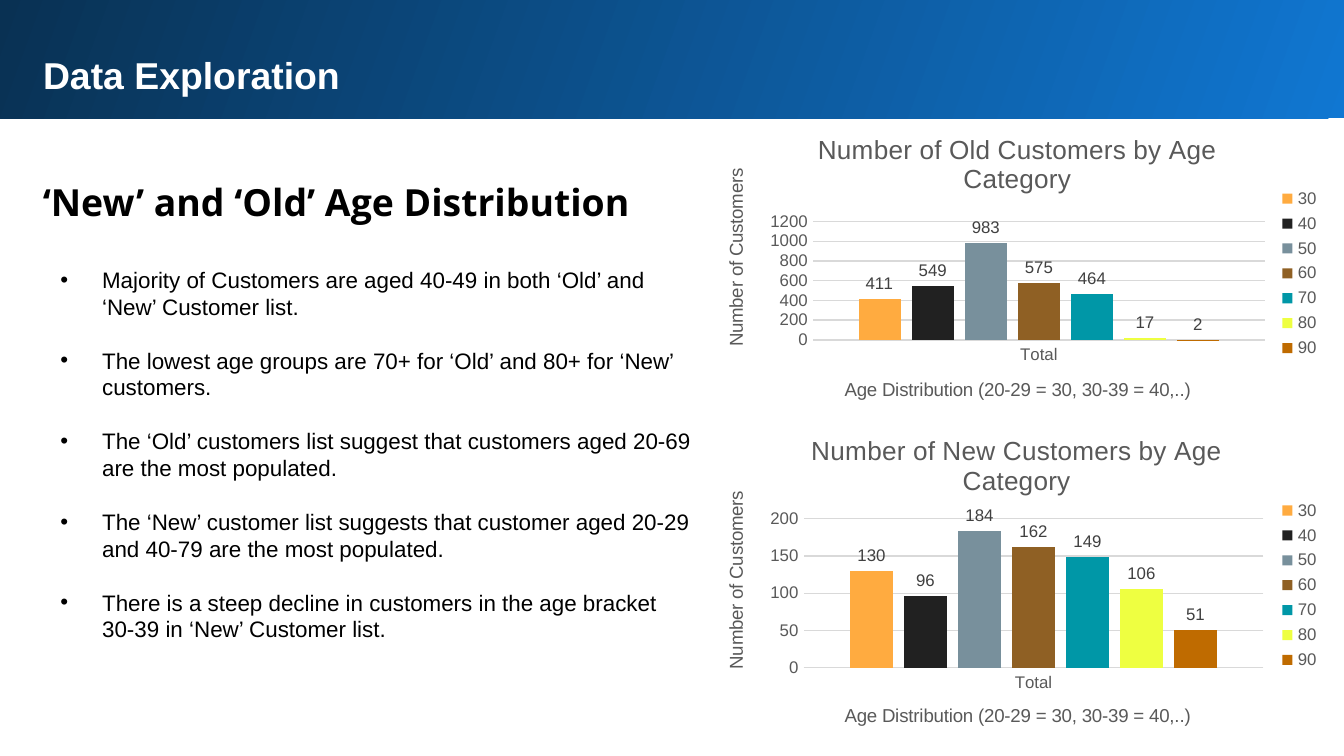
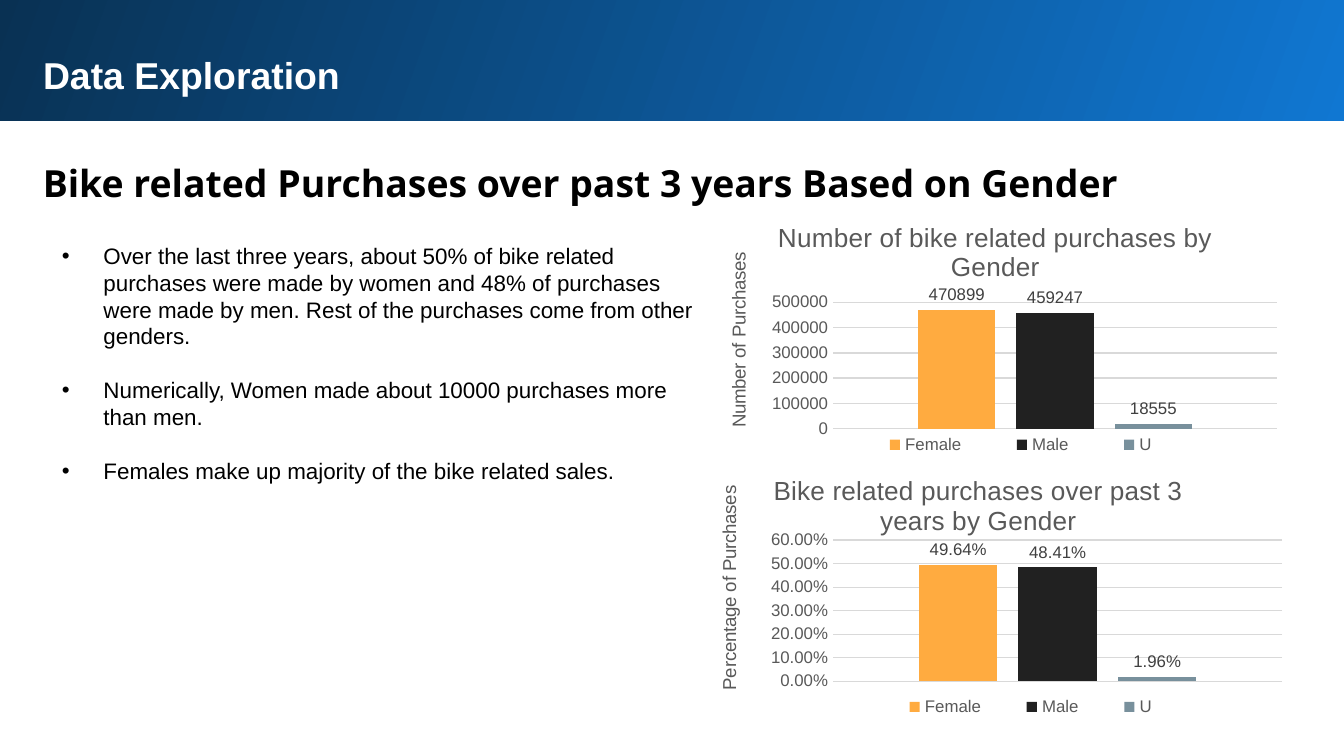
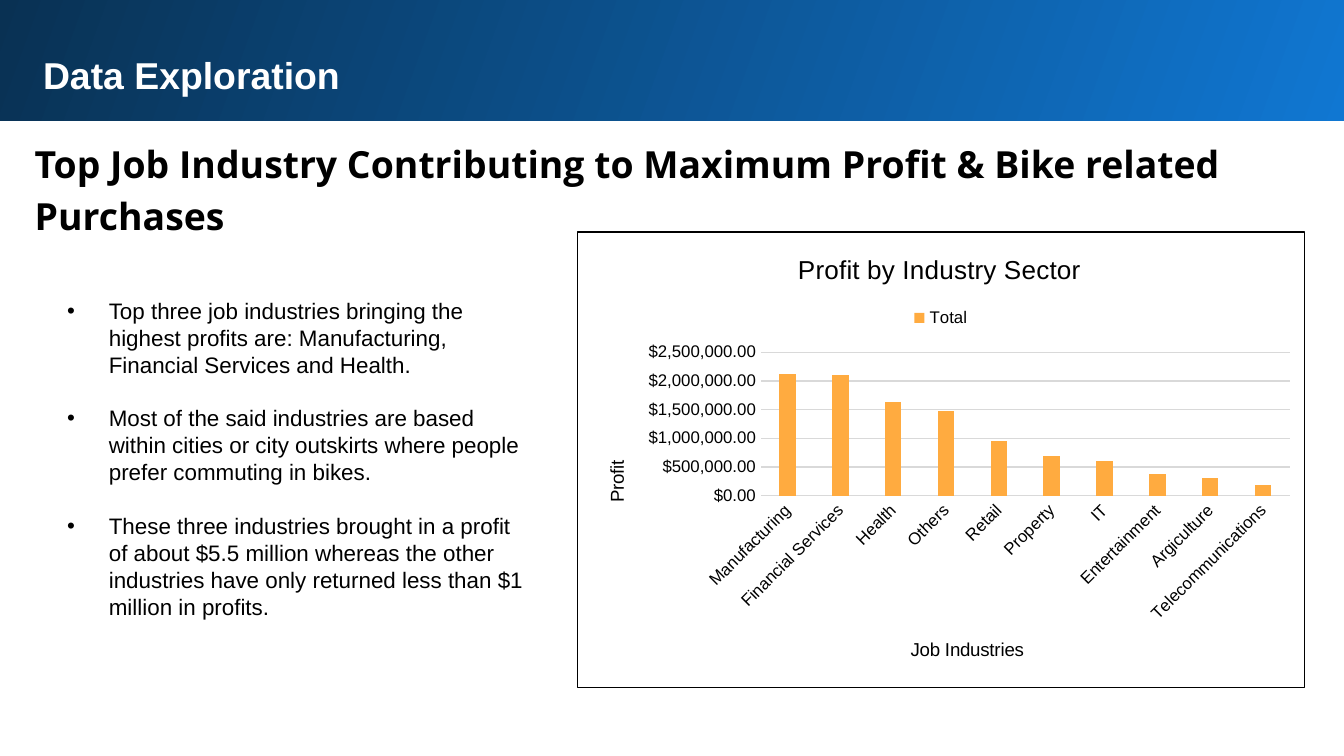
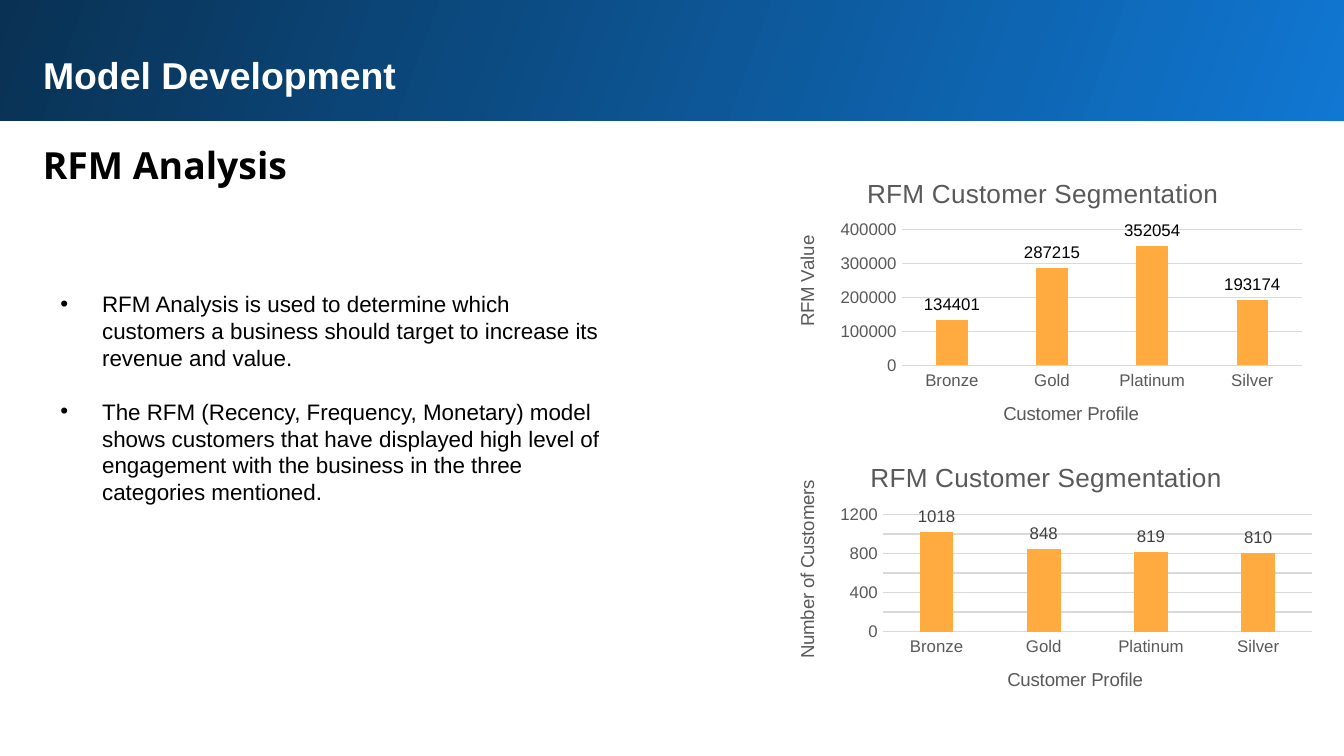
import pptx
import pptx.chart.data
import pptx.dml.color
import pptx.enum.chart
import pptx.enum.shapes
import pptx.enum.text
import pptx.oxml
import pptx.oxml.ns
import pptx.util

Inches = pptx.util.Inches
Pt = pptx.util.Pt
RGB = pptx.dml.color.RGBColor
Kind = pptx.enum.chart.XL_CHART_TYPE
Spot = pptx.enum.chart.XL_LEGEND_POSITION
Tick = pptx.enum.chart.XL_TICK_MARK

BLACK = RGB(0, 0, 0)
WHITE = RGB(255, 255, 255)
BLUE = RGB(0x10, 0x77, 0xD2)
NAVY = RGB(0x09, 0x31, 0x53)
GRAY = RGB(0x59, 0x59, 0x59)
DARK = RGB(0x40, 0x40, 0x40)
GRID = RGB(0xD9, 0xD9, 0xD9)
HUES = [
    RGB(0xFF, 0xAB, 0x40),
    RGB(0x21, 0x21, 0x21),
    RGB(0x78, 0x90, 0x9C),
    RGB(0x8F, 0x60, 0x24),
    RGB(0x00, 0x97, 0xA7),
    RGB(0xEE, 0xFF, 0x41),
    RGB(0xBF, 0x6B, 0x00),
]
AGES = ["30", "40", "50", "60", "70", "80", "90"]
SEXES = ["Female", "Male", "U"]
TIERS = ["Bronze", "Gold", "Platinum", "Silver"]
TRADES = [
    "Manufacturing", "Financial Services", "Health", "Others", "Retail",
    "Property", "IT", "Entertainment", "Argiculture", "Telecommunications",
]
GAINS = [2130000, 2110000, 1630000, 1480000, 960000, 690000, 600000, 380000, 300000, 190000]
BAND = (-0.02, -0.02, 10.05, 0.92)


def style(font, size, color, bold=False, face="Arial"):
    """Set the face, size and colour of a font."""
    font.name, font.size, font.bold = face, Pt(size), bold
    font.color.rgb = color


def write(para, text, size, color, bold=False, face="Arial"):
    """Add one styled run to a paragraph."""
    run = para.add_run()
    run.text = text
    style(run.font, size, color, bold, face)


def move(shape, box):
    """Give a shape its box in inches."""
    shape.left, shape.top, shape.width, shape.height = map(Inches, box)


def frame(shape, inset):
    """Prepare the text frame of a shape and return it."""
    text = shape.text_frame
    text.word_wrap = True
    text.auto_size = pptx.enum.text.MSO_AUTO_SIZE.NONE
    text.vertical_anchor = pptx.enum.text.MSO_ANCHOR.TOP
    text.margin_left = text.margin_right = Inches(inset)
    text.margin_top = text.margin_bottom = Inches(inset)
    return text


def head(slide, text, box):
    """Draw the blue band with the slide title on it."""
    title = slide.shapes.title
    band = slide.shapes.add_shape(pptx.enum.shapes.MSO_SHAPE.RECTANGLE, *map(Inches, box))
    band.shadow.inherit = False
    band.line.fill.background()
    band.fill.gradient()
    band.fill.gradient_angle = 160
    for stop, color in zip(band.fill.gradient_stops, (BLUE, NAVY)):
        stop.color.rgb = color
    title.element.addprevious(band.element)
    move(title, (0.22, 0.29, 9.37, 0.51))
    para = frame(title, 0.1).paragraphs[0]
    para.alignment = pptx.enum.text.PP_ALIGN.LEFT
    write(para, text, 20, WHITE, True)


def topic(slide, text, box):
    """Add the heading below the band."""
    area = slide.shapes.add_textbox(*map(Inches, box))
    para = frame(area, 0.1).paragraphs[0]
    para.line_spacing = 1.15
    write(para, text, 20, BLACK, True, "Open Sans")


def points(slide, items, box):
    """Fill the body with spaced bullets."""
    body = slide.placeholders[1]
    move(body, box)
    text = frame(body, 0.05)
    for i, item in enumerate(items):
        para = text.paragraphs[0] if i == 0 else text.add_paragraph()
        para.space_before, para.space_after = Pt(0), Pt(14.4)
        write(para, item, 12, BLACK)
    for prop in body.element.xpath(".//a:pPr"):
        prop.set("marL", str(Inches(0.31)))
        prop.set("indent", str(-Inches(0.31)))


def page(deck, name, sub, place, items, area, band=BAND):
    """Add a slide with its band, heading and bullets."""
    slide = deck.slides.add_slide(deck.slide_layouts[1])
    head(slide, name, band)
    topic(slide, sub, place)
    points(slide, items, area)
    return slide


def place(node, spot, box, index=1, inner=False):
    """Fix a chart part at a spot in inches inside the chart box."""
    for old in node.findall(pptx.oxml.ns.qn("c:layout")):
        node.remove(old)
    parts = '<c:layoutTarget val="inner"/>' if inner else ""
    parts += '<c:xMode val="edge"/><c:yMode val="edge"/>'
    for key, value, full in zip("xywh", spot, box[2:] * 2):
        parts += f'<c:{key} val="{value / full:.4f}"/>'
    node.insert(index, pptx.oxml.parse_xml(
        f'<c:layout {pptx.oxml.ns.nsdecls("c")}><c:manualLayout>{parts}</c:manualLayout></c:layout>'))


def label(title, text, size, color, spot, box):
    """Write a chart or axis title and put it at its spot."""
    write(title.text_frame.paragraphs[0], text, size, color)
    if spot:
        place(title.element, spot, box)


def border(chart, color):
    """Clear the chart ground and draw its outline if it has a colour."""
    fill = f'<a:solidFill><a:srgbClr val="{color}"/></a:solidFill>' if color else "<a:noFill/>"
    root = chart.element.xpath("c:chart")[0]
    root.addnext(pptx.oxml.parse_xml(
        f'<c:spPr {pptx.oxml.ns.nsdecls("c", "a")}><a:noFill/><a:ln w="9525">{fill}</a:ln></c:spPr>'))


def axes(chart, color, ytext, yspot, xtext, xspot, form, box):
    """Format both axes and their titles."""
    rows, cols = chart.value_axis, chart.category_axis
    for axis in (rows, cols):
        axis.major_tick_mark = axis.minor_tick_mark = Tick.NONE
        style(axis.tick_labels.font, 9, color)
    rows.format.line.fill.background()
    rows.tick_labels.number_format = form
    rows.tick_labels.number_format_is_linked = False
    grid = rows.major_gridlines.format.line
    label(rows.axis_title, ytext, 10, color, yspot, box)
    for line in (grid, cols.format.line):
        line.color.rgb, line.width = GRID, Pt(0.75)
    if xtext:
        label(cols.axis_title, xtext, 10, color, xspot, box)
    else:
        cols.visible = False


def bars(slide, box, title, cats, rows, plot, ytext, yspot, xtext=None, xspot=None, *,
         spot=None, form="General", color=GRAY, mark=DARK, key=None, keybox=None, edge=None):
    """Add a column chart whose parts sit relative to its box."""
    data = pptx.chart.data.CategoryChartData(number_format=form)
    data.categories = cats
    for name, vals in rows:
        data.add_series(name, vals)
    chart = slide.shapes.add_chart(Kind.COLUMN_CLUSTERED, *map(Inches, box), data).chart
    style(chart.font, 10, BLACK)
    border(chart, edge)
    chart.has_title = True
    label(chart.chart_title, title, 14, color, spot, box)
    axes(chart, color, ytext, yspot, xtext, xspot, form, box)
    place(chart.element.xpath(".//c:plotArea")[0], plot, box, 0, True)
    group = chart.plots[0]
    group.gap_width, group.overlap, group.vary_by_categories = 219, -27, False
    for line, hue in zip(group.series, HUES):
        line.format.fill.solid()
        line.format.fill.fore_color.rgb = hue
        if mark is not None:
            tags = line.data_labels
            tags.show_value = True
            tags.position = pptx.enum.chart.XL_LABEL_POSITION.OUTSIDE_END
            tags.number_format, tags.number_format_is_linked = form, False
            style(tags.font, 9, mark)
    chart.has_legend = key is not None
    if key is not None:
        chart.legend.position, chart.legend.include_in_layout = key, False
        style(chart.legend.font, 9, color)
        if keybox:
            place(chart.element.xpath(".//c:legend")[0], keybox, box)
    return chart


def split(names, vals):
    """Make one series of one value for each name."""
    return [(name, [val]) for name, val in zip(names, vals)]


def age(deck):
    """Build the slide on age groups."""
    slide = page(
        deck, "Data Exploration", "‘New’ and ‘Old’ Age Distribution", (0.22, 1.18, 9.37, 0.56),
        ["Majority of Customers are aged 40-49 in both ‘Old’ and ‘New’ Customer list.",
         "The lowest age groups are 70+ for ‘Old’ and 80+ for ‘New’ customers.",
         "The ‘Old’ customers list suggest that customers aged 20-69 are the most populated.",
         "The ‘New’ customer list suggests that customer aged 20-29 and 40-79 are the most populated.",
         "There is a steep decline in customers in the age bracket 30-39 in ‘New’ Customer list."],
        (0.4, 1.93, 4.81, 3.13), (0, -0.04, 10.05, 0.92))
    for kind, vals, box, plot, yspot, xspot, spot in (
        ("Old", [411, 549, 983, 575, 464, 17, 2], (5.21, 0.88, 4.71, 2.31),
         (0.84, 0.77, 3.36, 0.88), (0.15, 0.35), (1.05, 1.9), (0.84, 0.07)),
        ("New", [130, 96, 184, 162, 149, 106, 51], (5.21, 3.09, 4.71, 2.53),
         (0.77, 0.77, 3.42, 1.11), (0.15, 0.54), (1.05, 2.12), None),
    ):
        bars(slide, box, f"Number of {kind} Customers by Age Category", ["Total"],
             split(AGES, vals), plot, "Number of Customers", yspot,
             "Age Distribution (20-29 = 30, 30-39 = 40,..)", xspot, spot=spot, key=Spot.RIGHT)


def gender(deck):
    """Build the slide on purchases by gender."""
    slide = page(
        deck, "Data Exploration", "Bike related Purchases over past 3 years Based on Gender",
        (0.22, 1.04, 9.37, 0.56),
        ["Over the last three years, about 50% of bike related purchases were made by women and 48% "
         "of purchases were made by men. Rest of the purchases come from other genders.",
         "Numerically, Women made about 10000 purchases more than men.",
         "Females make up majority of the bike related sales."],
        (0.41, 1.75, 4.81, 1.92))
    bars(slide, (5.22, 1.51, 4.37, 2.09), "Number of bike related purchases by Gender", ["1"],
         split(SEXES, [470899, 459247, 18555]), (0.98, 0.74, 3.3, 0.94),
         "Number of Purchases", (0.16, 0.34), key=Spot.BOTTOM, keybox=(1.03, 1.7, 2.69, 0.2))
    bars(slide, (5.22, 3.26, 4.42, 2.22), "Bike related purchases over past 3 years by Gender", ["1"],
         split(SEXES, [0.4964, 0.4841, 0.0196]), (0.98, 0.76, 3.34, 1.05),
         "Percentage of Purchases", (0.09, 0.33), spot=(0.5, 0.23), form="0.00%",
         key=Spot.BOTTOM, keybox=(1.25, 1.9, 2.4, 0.2))


def trade(deck):
    """Build the slide on profit by industry."""
    slide = page(
        deck, "Data Exploration",
        "Top Job Industry Contributing to Maximum Profit & Bike related Purchases",
        (0.16, 0.9, 9.37, 0.95),
        ["Top three job industries bringing the highest profits are: Manufacturing, Financial "
         "Services and Health.",
         "Most of the said industries are based within cities or city outskirts where people prefer "
         "commuting in bikes.",
         "These three industries brought in a profit of about $5.5 million whereas the other "
         "industries have only returned less than $1 million in profits."],
        (0.45, 2.16, 3.56, 2.52))
    chart = bars(slide, (4.29, 1.72, 5.42, 3.4), "Profit by Industry Sector", TRADES,
                 [("Total", GAINS)], (1.37, 0.9, 3.94, 1.07), "Profit", (0.18, 1.68),
                 "Job Industries", (2.46, 3), spot=(1.61, 0.12), form='"$"#,##0.00',
                 color=BLACK, mark=None, key=Spot.TOP, edge=BLACK)
    turn = chart.element.xpath(".//c:catAx/c:txPr/a:bodyPr")[0]
    turn.set("rot", str(-45 * 60000))
    turn.set("vert", "horz")


def model(deck):
    """Build the slide on customer segments."""
    slide = page(
        deck, "Model Development", "RFM Analysis", (0.22, 0.91, 9.37, 0.56),
        ["RFM Analysis is used to determine which customers a business should target to increase its "
         "revenue and value.",
         "The RFM (Recency, Frequency, Monetary) model shows customers that have displayed high level "
         "of engagement with the business in the three categories mentioned."],
        (0.4, 2.11, 4.17, 2.39))
    for box, vals, plot, ytext, yspot, xspot, mark, top, step in (
        ((5.74, 1.18, 4.04, 2.19), [134401, 287215, 352054, 193174], (0.97, 0.53, 2.98, 1.01),
         "RFM Value", (0.15, 0.55), (1.7, 1.78), BLACK, 400000, 100000),
        ((5.74, 3.3, 4.09, 2.04), [1018, 848, 819, 810], (0.83, 0.53, 3.19, 0.87),
         "Number of Customers", (0.15, 0.25), (1.73, 1.64), DARK, 1200, 200),
    ):
        chart = bars(slide, box, "RFM Customer Segmentation", TIERS, [("Series 1", vals)], plot,
                     ytext, yspot, "Customer Profile", xspot, form="0", mark=mark)
        chart.value_axis.maximum_scale, chart.value_axis.major_unit = top, step


def main():
    """Build and save the deck."""
    deck = pptx.Presentation()
    deck.slide_width = Inches(10)
    deck.slide_height = deck.slide_width * 9 // 16
    for build in (age, gender, trade, model):
        build(deck)
    deck.save("out.pptx")


if __name__ == "__main__":
    main()
